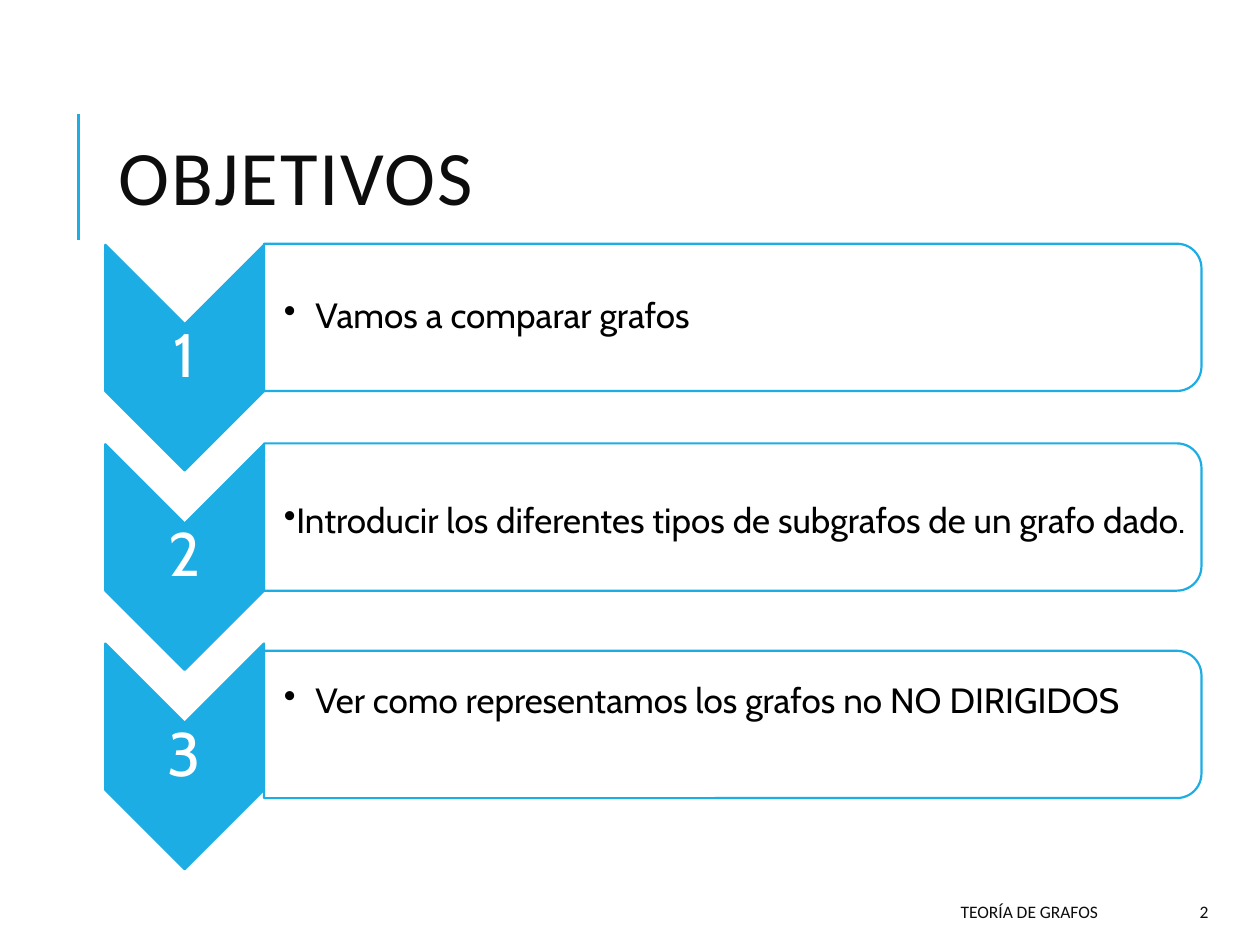
"""Build the objectives slide with three numbered chevron steps."""
from dataclasses import dataclass

from lxml import etree
from pptx import Presentation
from pptx.dml.color import RGBColor
from pptx.enum import shapes, text
from pptx.oxml import ns
from pptx.util import Pt

COLORS = {"accent": "1CADE4", "ink": "0D0D0D", "black": "000000", "white": "FFFFFF"}
CHEVRON_LENGTH, CHEVRON_WIDTH = 129, 90.7
CARD_HEIGHT, CARD_WIDTH = 84.2, 535.7
CHEVRON_X, CARD_X = 105.5, 418.7
FIRST_CHEVRON_Y, STEP_GAP = 204.4, 113.9


@dataclass
class Step:
    """One objective, with the vertical centres of its card and its text."""

    label: str
    card_y: float
    text_y: float
    hanging: float = 18


@dataclass
class Style:
    """The look of a text."""

    font: str
    size: float
    color: str
    align: text.PP_ALIGN = text.PP_ALIGN.LEFT
    line_spacing: float = 1.0
    insets: tuple[float, float, float, float] = (7.2, 3.6, 7.2, 3.6)


LEFT, CENTER, RIGHT = text.PP_ALIGN.LEFT, text.PP_ALIGN.CENTER, text.PP_ALIGN.RIGHT
TITLE = Style("Calibri", 44, "ink", LEFT, 0.8)
NUMBER = Style("Cabin", 35, "white", CENTER, 0.9, (1.5, 1.5, 1.5, 1.5))
OBJECTIVE = Style("Cabin", 20, "black", LEFT, 0.9, (11.4, 0.9, 0.9, 0.9))
FOOTER = Style("Calibri", 10, "ink", RIGHT)
STEPS = [
    Step("Vamos a comparar grafos", 181.4, 181.4),
    Step("Introducir los diferentes tipos de subgrafos de un grafo dado.", 295.5, 298.5, 0),
    Step("Ver como representamos los grafos no NO DIRIGIDOS", 414, 401.3),
]


def color(name: str) -> RGBColor:
    """Look up a named colour."""
    return RGBColor.from_string(COLORS[name])


def write(box, words: str, style: Style):
    """Set and format the single paragraph of a box and return it."""
    frame = box.text_frame
    frame.text = words
    frame.word_wrap = True
    frame.auto_size = text.MSO_AUTO_SIZE.NONE
    frame.vertical_anchor = text.MSO_ANCHOR.MIDDLE
    (frame.margin_left, frame.margin_top,
     frame.margin_right, frame.margin_bottom) = map(Pt, style.insets)
    para = frame.paragraphs[0]
    para.alignment = style.align
    para.line_spacing = style.line_spacing
    font = para.runs[0].font
    font.name, font.size = style.font, Pt(style.size)
    font.color.rgb = color(style.color)
    return para


def add_text(page, left: float, top: float, width: float, height: float,
             words: str, style: Style):
    """Add a text box and return its paragraph."""
    box = page.shapes.add_textbox(Pt(left), Pt(top), Pt(width), Pt(height))
    return write(box, words, style)


def add_bullet(para, hanging: float) -> None:
    """Give a paragraph a round bullet and a hanging indent."""
    props = para._p.get_or_add_pPr()
    props.set("marL", str(Pt(hanging)))
    props.set("indent", str(-Pt(hanging)))
    etree.SubElement(props, ns.qn("a:buChar")).set("char", "•")


def add_turned(page, kind: shapes.MSO_SHAPE, x: float, y: float,
               width: float, height: float, fill: str):
    """Add a shape centred at a point and turned a quarter clockwise."""
    shape = page.shapes.add_shape(
        kind, Pt(x - width / 2), Pt(y - height / 2), Pt(width), Pt(height))
    shape.rotation = 90
    shape.shadow.inherit = False
    shape.fill.solid()
    shape.fill.fore_color.rgb = color(fill)
    shape.line.color.rgb = color("accent")
    shape.line.width = Pt(1.25)
    return shape


def add_step(page, index: int, step: Step) -> None:
    """Draw one numbered chevron with its card and objective."""
    y = FIRST_CHEVRON_Y + index * STEP_GAP
    add_turned(page, shapes.MSO_SHAPE.CHEVRON, CHEVRON_X, y,
               CHEVRON_LENGTH, CHEVRON_WIDTH, "accent")
    add_text(page, CHEVRON_X - CHEVRON_WIDTH / 2, y - 19.5, CHEVRON_WIDTH, 39,
             str(index + 1), NUMBER)
    card = add_turned(page, shapes.MSO_SHAPE.ROUND_2_SAME_RECTANGLE, CARD_X,
                      step.card_y, CARD_HEIGHT, CARD_WIDTH, "white")
    tint = card._element.spPr.find(ns.qn("a:solidFill"))[0]
    etree.SubElement(tint, ns.qn("a:alpha")).set("val", "90000")
    para = add_text(page, CARD_X - CARD_WIDTH / 2, step.text_y - 38, 531.5, 76,
                    step.label, OBJECTIVE)
    add_bullet(para, step.hanging)


def add_title(page) -> None:
    """Place the title and the accent line beside it."""
    line = page.shapes.add_connector(
        shapes.MSO_CONNECTOR.STRAIGHT, Pt(44.8), Pt(137), Pt(44.8), Pt(65))
    line.line.color.rgb = color("accent")
    line.line.width = Pt(1.5)
    etree.SubElement(line._element.spPr, ns.qn("a:effectLst"))
    title = page.shapes.title
    title.left, title.top, title.width, title.height = map(Pt, (60.5, 46, 574, 118))
    para = write(title, "OBJETIVOS", TITLE)
    para.runs[0]._r.get_or_add_rPr().set("spc", "100")


def main() -> None:
    """Build and save the deck."""
    deck = Presentation()
    deck.slide_width, deck.slide_height = Pt(720), Pt(540)
    page = deck.slides.add_slide(deck.slide_layouts.get_by_name("Title Only"))
    add_title(page)
    for index, step in enumerate(STEPS):
        add_step(page, index, step)
    add_text(page, 286, 510, 348.5, 21.6, "TEORÍA DE GRAFOS", FOOTER)
    add_text(page, 640, 510, 57.6, 21.6, "2", FOOTER)
    deck.save("out.pptx")


if __name__ == "__main__":
    main()
